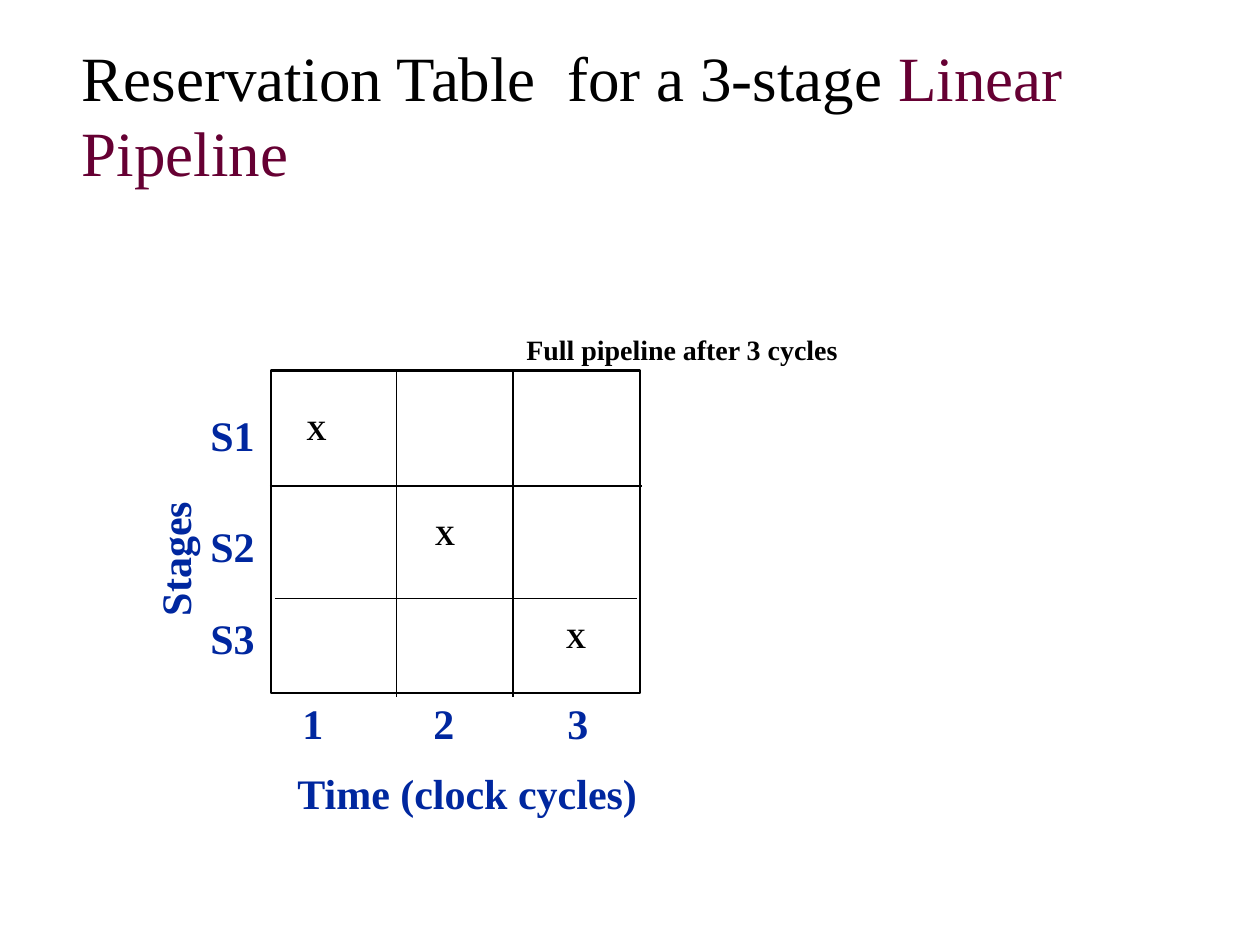
from typing import NamedTuple

from lxml import etree
from pptx import Presentation
from pptx.dml.color import RGBColor
from pptx.enum.shapes import MSO_CONNECTOR, MSO_SHAPE
from pptx.enum.text import MSO_ANCHOR, PP_ALIGN
from pptx.oxml.ns import qn
from pptx.util import Cm, Pt

BOX = MSO_SHAPE.RECTANGLE
LINE = MSO_CONNECTOR.STRAIGHT
TOP, MIDDLE = MSO_ANCHOR.TOP, MSO_ANCHOR.MIDDLE
LEFT, CENTER = PP_ALIGN.LEFT, PP_ALIGN.CENTER
FONT = "Times New Roman"
BLACK, BLUE, PLUM = "000000", "00279F", "660033"


class Label(NamedTuple):
    """Text placed by its centre, in centimetres."""
    text: str
    x: float
    y: float
    width: float
    height: float = 1.18
    size: int = 24
    color: str = BLUE
    turn: int = 0


class Rule(NamedTuple):
    """A grid line from one end to the other, in centimetres."""
    x1: float
    y1: float
    x2: float
    y2: float


STAGE_X, CYCLE_Y = 4.69, 14.63
STAGES = [("S1", 8.83), ("S2", 11.07), ("S3", 12.92)]
CYCLES = [("1", 6.31), ("2", 8.95), ("3", 11.65)]
MARKS = [(6.38, 8.69), (8.97, 10.82), (11.61, 12.9)]
GRID = (5.46, 7.47, 7.44, 6.5)
RULES = [Rule(x, 7.47, x, 14.05) for x in (8, 10.34)] + [
    Rule(5.44, 9.8, 12.95, 9.8),
    Rule(5.54, 12.07, 12.85, 12.07),
]
LABELS = (
    [Label(name, STAGE_X, y, 1.5) for name, y in STAGES]
    + [Label(name, x, CYCLE_Y, 1) for name, x in CYCLES]
    + [Label("X", x, y, 0.92, 0.86, 16, BLACK) for x, y in MARKS]
    + [
        Label("Time (clock cycles)", 9.42, 16.04, 7.42),
        Label("Full pipeline after 3 cycles", 13.75, 7.09, 6.88, 0.86, 16, BLACK),
        Label("Stages", 3.58, 11.27, 4.52, turn=270),
    ]
)


def tint(color: str) -> RGBColor:
    return RGBColor.from_string(color)


def add_text(slide, runs, x, y, width, height, *, size, bold=False, wrap=False,
             align=CENTER, anchor=MIDDLE, spacing=1.0, turn=0) -> None:
    """Add a text box; runs are (text, colour) pairs in one paragraph."""
    box = slide.shapes.add_textbox(Cm(x), Cm(y), Cm(width), Cm(height))
    box.rotation = turn
    frame = box.text_frame
    frame.word_wrap, frame.vertical_anchor = wrap, anchor
    para = frame.paragraphs[0]
    para.alignment, para.line_spacing = align, spacing
    for text, color in runs:
        run = para.add_run()
        run.text = text
        font = run.font
        font.name, font.size, font.bold = FONT, Pt(size), bold
        font.color.rgb = tint(color)


def add_label(slide, label: Label) -> None:
    left = label.x - label.width / 2
    top = label.y - label.height / 2
    add_text(slide, [(label.text, label.color)], left, top, label.width,
             label.height, size=label.size, bold=True, spacing=0.9,
             turn=label.turn)


def add_frame(slide) -> None:
    frame = slide.shapes.add_shape(BOX, *map(Cm, GRID))
    frame.shadow.inherit = False
    frame.fill.background()
    frame.line.color.rgb = tint(BLACK)
    frame.line.width = Pt(1.25)


def add_rule(slide, rule: Rule) -> None:
    line = slide.shapes.add_connector(LINE, *map(Cm, rule))
    line.line.color.rgb = tint(BLACK)
    line.line.width = Pt(0.75)
    etree.SubElement(line._element.spPr, qn("a:effectLst"))


def main() -> None:
    deck = Presentation()
    deck.slide_width, deck.slide_height = Cm(25.4), Cm(19.05)
    slide = deck.slides.add_slide(deck.slide_layouts[6])
    title = [("Reservation Table  for a 3-stage ", BLACK),
             ("Linear Pipeline", PLUM)]
    add_text(slide, title, 1.4, 0.65, 21.59, 3.3, size=36, wrap=True,
             align=LEFT, anchor=TOP)
    add_frame(slide)
    for rule in RULES:
        add_rule(slide, rule)
    for label in LABELS:
        add_label(slide, label)
    deck.save("out.pptx")


if __name__ == "__main__":
    main()
